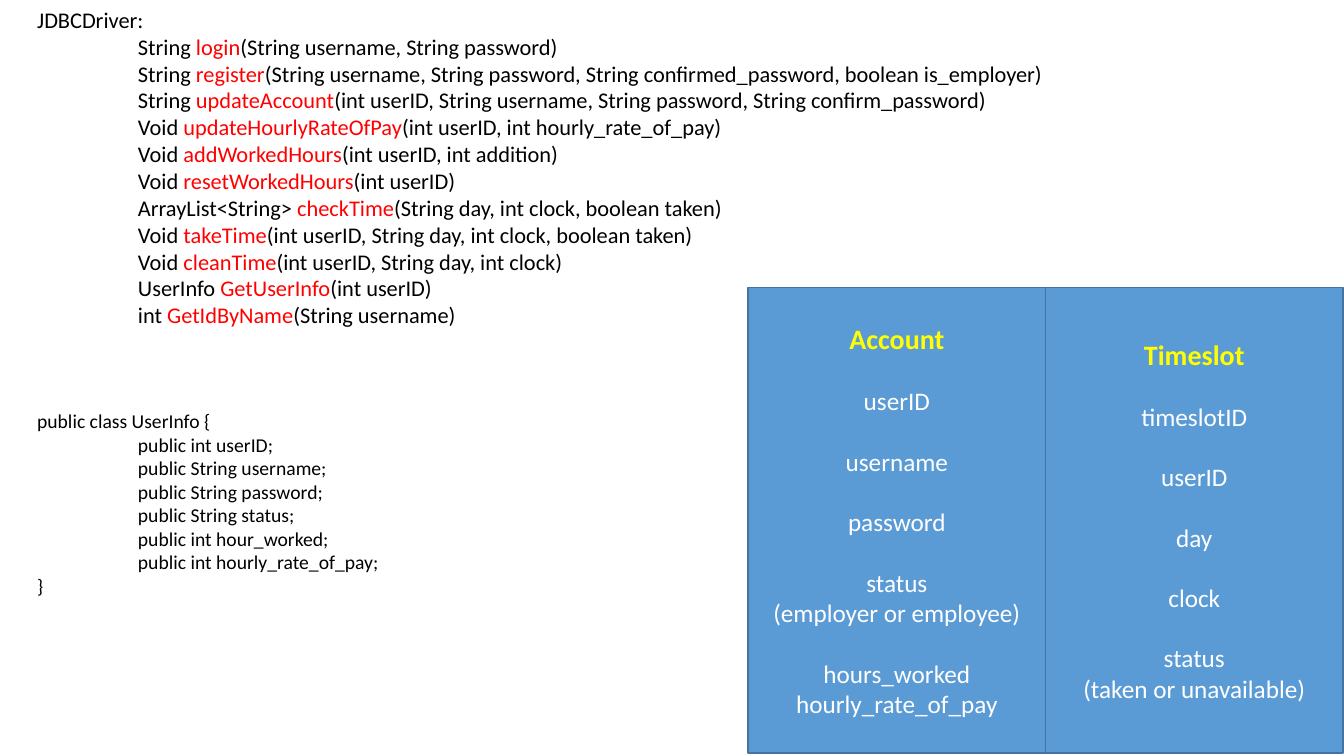
from typing import NamedTuple

from pptx import Presentation
from pptx.dml.color import RGBColor
from pptx.enum.shapes import MSO_SHAPE
from pptx.enum.text import MSO_ANCHOR, PP_ALIGN
from pptx.util import Inches, Pt

BLACK = RGBColor(0x00, 0x00, 0x00)
WHITE = RGBColor(0xFF, 0xFF, 0xFF)
RED = RGBColor(0xFF, 0x00, 0x00)
YELLOW = RGBColor(0xFF, 0xFF, 0x00)
BLUE = RGBColor(0x5B, 0x9B, 0xD5)
DARK_BLUE = RGBColor(0x43, 0x73, 0x9E)

FONT = "Calibri"
CODE_LEFT = 0.27
ENTITY_LEFT, ENTITY_TOP = 7.42, 2.85
ENTITY_WIDTH, ENTITY_HEIGHT = 2.95, 4.62
FIELD_GAP = Pt(21.6)  # one line of 18 pt text


class Method(NamedTuple):
    returns: str
    name: str
    params: str


class Entity(NamedTuple):
    title: str
    fields: list[tuple[str, ...]]  # lines of one field group stay together


METHODS = [
    Method("String", "login", "String username, String password"),
    Method("String", "register", "String username, String password, "
           "String confirmed_password, boolean is_employer"),
    Method("String", "updateAccount", "int userID, String username, "
           "String password, String confirm_password"),
    Method("Void", "updateHourlyRateOfPay", "int userID, int hourly_rate_of_pay"),
    Method("Void", "addWorkedHours", "int userID, int addition"),
    Method("Void", "resetWorkedHours", "int userID"),
    Method("ArrayList<String>", "checkTime", "String day, int clock, boolean taken"),
    Method("Void", "takeTime", "int userID, String day, int clock, boolean taken"),
    Method("Void", "cleanTime", "int userID, String day, int clock"),
    Method("UserInfo", "GetUserInfo", "int userID"),
    Method("int", "GetIdByName", "String username"),
]

USER_FIELDS = ["int userID", "String username", "String password",
               "String status", "int hour_worked", "int hourly_rate_of_pay"]

ENTITIES = [
    Entity("Account", [("userID",), ("username",), ("password",),
                       ("status", "(employer or employee)"),
                       ("hours_worked", "hourly_rate_of_pay")]),
    Entity("Timeslot", [("timeslotID",), ("userID",), ("day",), ("clock",),
                        ("status", "(taken or unavailable)")]),
]


def add_run(p, text: str, *, size: int, color: RGBColor = BLACK,
            bold: bool = False) -> None:
    r = p.add_run()
    r.text = text
    r.font.name = FONT
    r.font.size = Pt(size)
    r.font.bold = bold
    r.font.color.rgb = color


def next_paragraph(tf, *, indent: float = 0):
    """Return the unused first paragraph, or a new one."""
    first = tf.paragraphs[0]
    p = tf.add_paragraph() if first.runs else first
    if indent:
        p._p.get_or_add_pPr().set("marL", str(Inches(indent)))
    return p


def add_code_box(slide, top: float, width: float, height: float):
    sp = slide.shapes.add_textbox(Inches(CODE_LEFT), Inches(top),
                                  Inches(width), Inches(height))
    sp.text_frame.word_wrap = True
    return sp.text_frame


def add_entity(slide, entity: Entity, left: float) -> None:
    sp = slide.shapes.add_shape(MSO_SHAPE.RECTANGLE, Inches(left), Inches(ENTITY_TOP),
                                Inches(ENTITY_WIDTH), Inches(ENTITY_HEIGHT))
    sp.shadow.inherit = False
    sp.fill.solid()
    sp.fill.fore_color.rgb = BLUE
    sp.line.color.rgb = DARK_BLUE
    sp.line.width = Pt(1)
    tf = sp.text_frame
    tf.word_wrap = True
    tf.vertical_anchor = MSO_ANCHOR.MIDDLE
    add_run(next_paragraph(tf), entity.title, size=20, color=YELLOW, bold=True)
    for group in entity.fields:
        for i, line in enumerate(group):
            p = next_paragraph(tf)
            p.space_before = Pt(0) if i else FIELD_GAP
            add_run(p, line, size=18, color=WHITE)
    for p in tf.paragraphs:
        p.alignment = PP_ALIGN.CENTER


prs = Presentation()
prs.slide_width, prs.slide_height = Inches(13.33), Inches(7.5)
s = prs.slides.add_slide(prs.slide_layouts[6])

# Database tables
for col, entity in enumerate(ENTITIES):
    add_entity(s, entity, ENTITY_LEFT + col * ENTITY_WIDTH)

# Driver methods
tf = add_code_box(s, 0.01, 12.79, 3.33)
add_run(next_paragraph(tf), "JDBCDriver:", size=16)
for m in METHODS:
    p = next_paragraph(tf, indent=1)
    add_run(p, f"{m.returns} ", size=16)
    add_run(p, m.name, size=16, color=RED)
    add_run(p, f"({m.params})", size=16)

# UserInfo class
tf = add_code_box(s, 4.01, 5.76, 1.98)
add_run(next_paragraph(tf), "public class UserInfo {", size=14)
for field in USER_FIELDS:
    add_run(next_paragraph(tf, indent=1), f"public {field};", size=14)
add_run(next_paragraph(tf), "}", size=14)

prs.save("out.pptx")
